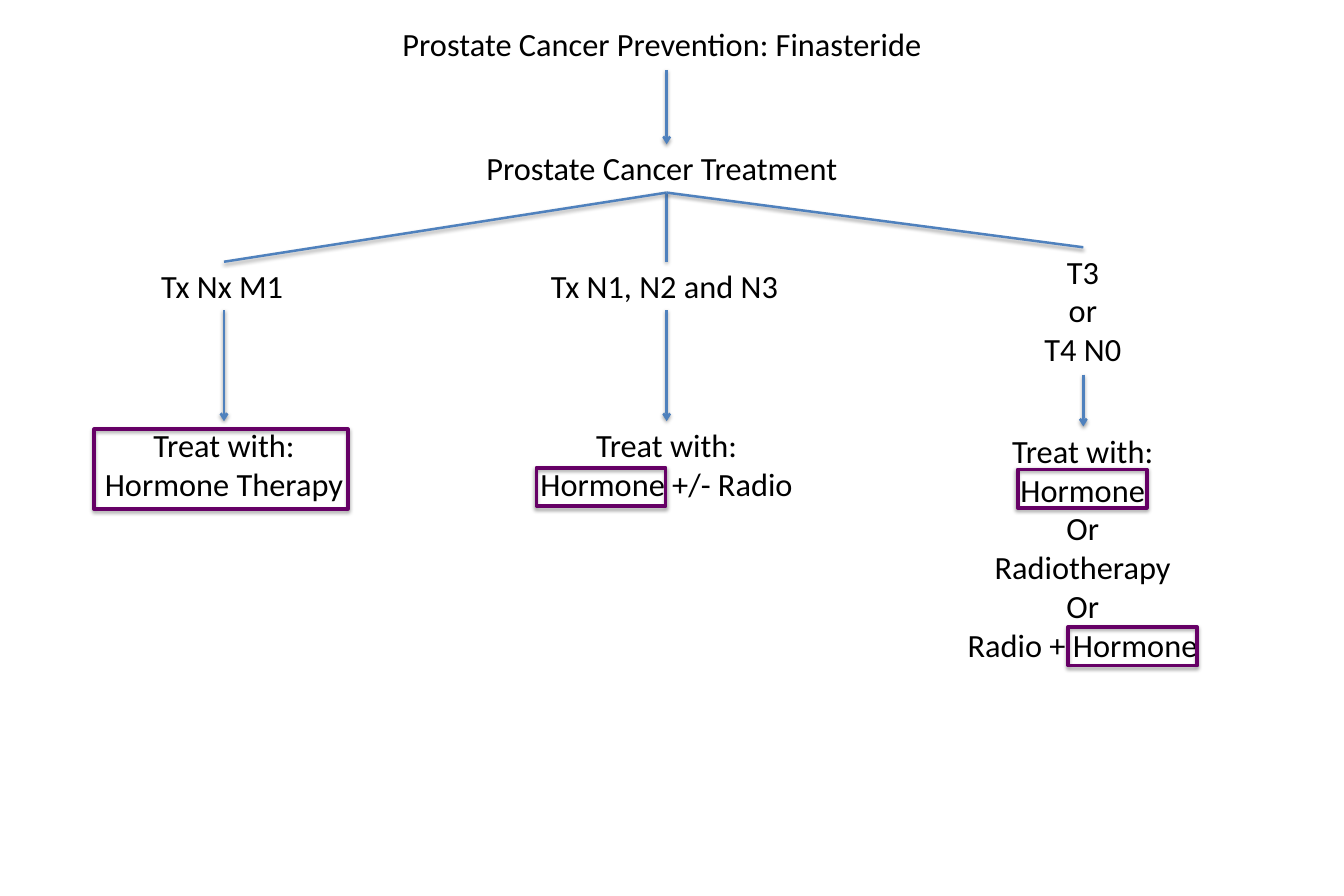
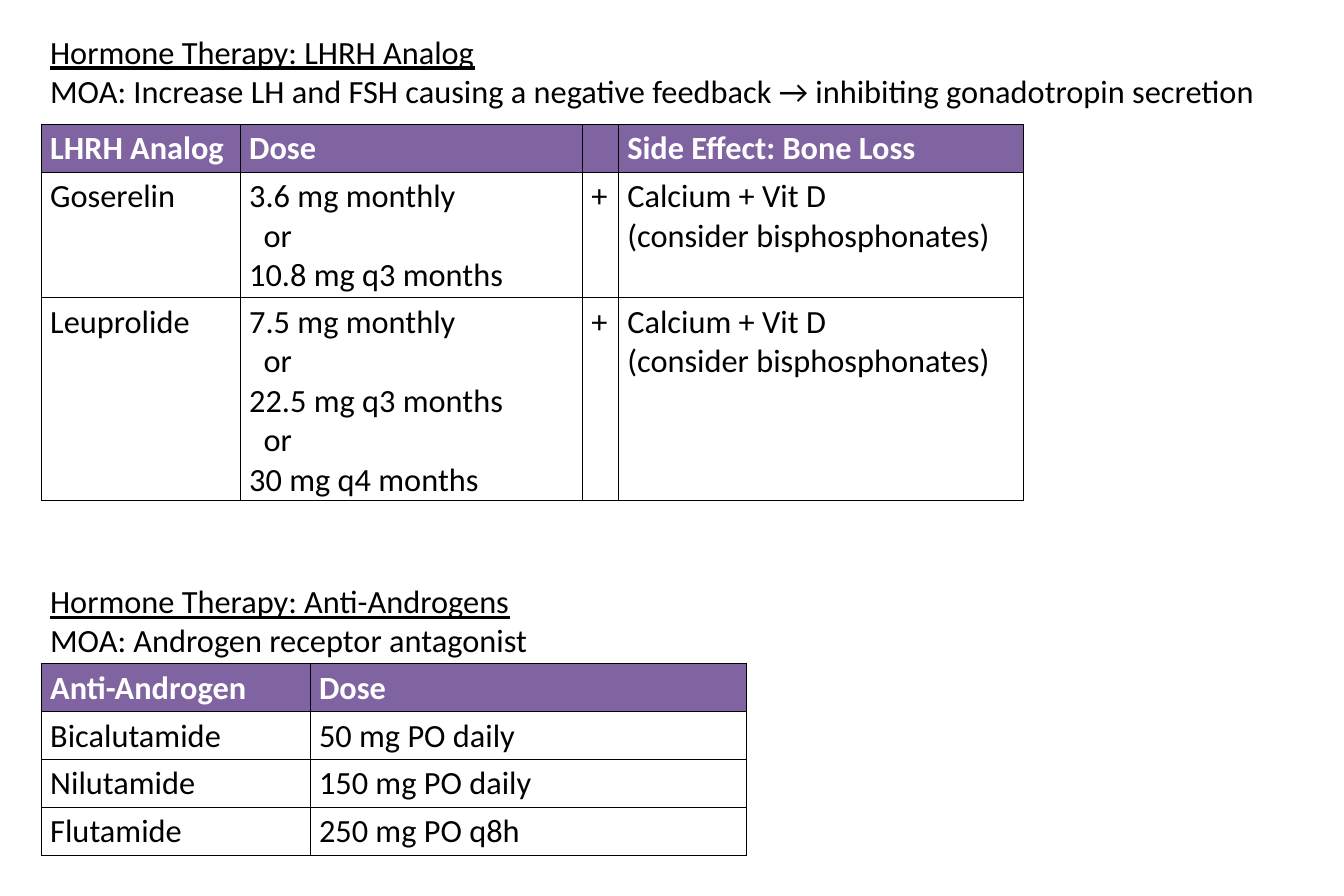
from lxml.etree import SubElement
from pptx import Presentation
from pptx.dml.color import RGBColor
from pptx.enum.shapes import MSO_CONNECTOR, MSO_SHAPE
from pptx.enum.text import MSO_ANCHOR, MSO_AUTO_SIZE, PP_ALIGN
from pptx.oxml import parse_xml
from pptx.oxml.ns import nsdecls, qn
from pptx.util import Cm, Pt

# Shared look
FONT, SIZE = "Calibri", Pt(26)
BLACK = RGBColor(0x00, 0x00, 0x00)
WHITE = RGBColor(0xFF, 0xFF, 0xFF)
BLUE = RGBColor(0x4F, 0x81, 0xBD)
PLUM = RGBColor(0x66, 0x00, 0x66)
PURPLE = RGBColor(0x80, 0x64, 0xA2)
LINE_HEIGHT, CELL_PADDING = 1.1, 0.25
MARGIN = 1.17


def write(frame, text, align=PP_ALIGN.LEFT, colour=BLACK, bold=False,
          underline_first=False, indented=None):
    """Fill a text frame, one paragraph per line of text."""
    for number, line in enumerate(text.split("\n")):
        paragraph = frame.paragraphs[0] if number == 0 else frame.add_paragraph()
        paragraph.alignment = align
        if line == indented:
            properties = paragraph._p.get_or_add_pPr()
            properties.set("marL", str(Cm(0.41)))
            properties.set("indent", "0")
        paragraph.font.size = SIZE
        if line:
            run = paragraph.add_run()
            run.text = line
            run.font.name = FONT
            run.font.size = SIZE
            run.font.bold = bold
            run.font.color.rgb = colour
            run.font.underline = underline_first and number == 0
    frame.word_wrap = False


def add_shadow(shape, distance, opacity):
    """Give a shape a soft shadow straight below it."""
    shape._element.spPr.append(parse_xml(
        f'<a:effectLst {nsdecls("a")}>'
        f'<a:outerShdw blurRad="{Pt(3.1)}" dist="{Pt(distance)}" dir="5400000" rotWithShape="0">'
        f'<a:srgbClr val="000000"><a:alpha val="{opacity * 1000}"/></a:srgbClr>'
        '</a:outerShdw></a:effectLst>'))


presentation = Presentation()
presentation.slide_width, presentation.slide_height = Cm(38.1), Cm(25.4)
title_only = presentation.slide_layouts[5]

# Titles: text, left, top, width, height, side inset, top inset, underlined
titles = [
    ("Prostate Cancer Prevention: Finasteride",
     11.05, 0.51, 15.7, 1.47, 0.36, 0.18, False),
    ("Hormone Therapy: LHRH Analog\nMOA: Increase LH and FSH causing a negative "
     "feedback → inhibiting gonadotropin secretion",
     MARGIN, 0.79, 35.92, 2.49, 0.25, 0.13, True),
]
slides = []
for text, left, top, width, height, side, above, underlined in titles:
    slide = presentation.slides.add_slide(title_only)
    title = slide.shapes.title
    title.left, title.top = Cm(left), Cm(top)
    title.width, title.height = Cm(width), Cm(height)
    frame = title.text_frame
    frame.auto_size = MSO_AUTO_SIZE.NONE
    frame.vertical_anchor = MSO_ANCHOR.TOP
    frame.margin_left = frame.margin_right = Cm(side)
    frame.margin_top = frame.margin_bottom = Cm(above)
    write(frame, text, underline_first=underlined)
    slides.append(slide)
pathway, therapy = slides

# Text of the treatment pathway, and the second heading of the therapy slide
CENTRE, LEFT = PP_ALIGN.CENTER, PP_ALIGN.LEFT
passages = [
    (pathway, "Prostate Cancer Treatment", 13.54, 4.09, 10.69, 1.37, LEFT),
    (pathway, "Tx Nx M1", 4.32, 7.42, 4.04, 1.37, LEFT),
    (pathway, "Tx N1, N2 and N3", 15.37, 7.42, 7.06, 1.37, LEFT),
    (pathway, "T3\nor\nT4 N0", 29.34, 7.01, 2.72, 3.58, CENTRE),
    (pathway, "Treat with:\nHormone Therapy", 2.67, 11.94, 7.37, 2.49, CENTRE),
    (pathway, "Treat with:\nHormone +/- Radio", 15.04, 11.94, 7.72, 2.49, CENTRE),
    (pathway, "Treat with:\nHormone\nOr\nRadiotherapy\nOr\nRadio + Hormone",
     27.15, 12.09, 7.09, 6.93, CENTRE),
    (therapy, "Hormone Therapy: Anti-Androgens\nMOA: Androgen receptor antagonist",
     MARGIN, 16.36, 14.25, 2.49, LEFT),
]
for slide, text, left, top, width, height, align in passages:
    passage = slide.shapes.add_textbox(Cm(left), Cm(top), Cm(width), Cm(height))
    write(passage.text_frame, text, align=align, underline_first=slide is therapy)

# Branches and arrows: start x, start y, end x, end y, arrowhead
METASTATIC, NODAL, LOCAL = 6.35, 18.9, 30.71
links = [
    (NODAL, 5.46, METASTATIC, 7.42, False),
    (NODAL, 5.46, NODAL, 7.42, False),
    (NODAL, 5.46, LOCAL, 7.01, False),
    (METASTATIC, 8.79, METASTATIC, 11.94, True),
    (NODAL, 8.79, NODAL, 11.94, True),
    (LOCAL, 10.62, LOCAL, 12.09, True),
    (NODAL, 1.98, NODAL, 4.09, True),
]
for start_x, start_y, end_x, end_y, arrowhead in links:
    link = pathway.shapes.add_connector(
        MSO_CONNECTOR.STRAIGHT, Cm(start_x), Cm(start_y), Cm(end_x), Cm(end_y))
    link.line.color.rgb = BLUE
    link.line.width = Pt(2)
    if arrowhead:
        SubElement(link.line._get_or_add_ln(), qn("a:tailEnd")).set("type", "arrow")
    add_shadow(link, distance=1.6, opacity=38)

# Frames around each mention of hormone treatment
for left, top, width, height in [(2.67, 12.17, 7.19, 2.26), (15.21, 13.26, 3.66, 1.09),
                                 (28.85, 13.31, 3.66, 1.09), (30.28, 17.78, 3.66, 1.09)]:
    highlight = pathway.shapes.add_shape(
        MSO_SHAPE.RECTANGLE, Cm(left), Cm(top), Cm(width), Cm(height))
    highlight.fill.background()
    highlight.line.color.rgb = PLUM
    highlight.line.width = Pt(3)
    add_shadow(highlight, distance=1.8, opacity=35)

# Dose tables: top, column widths, rows
BONE_CARE = "Calcium + Vit D\n(consider bisphosphonates)"
dose_tables = [
    (3.53, [5.64, 9.7, 1.02, 11.48], [
        ["LHRH Analog", "Dose", "", "Side Effect: Bone Loss"],
        ["Goserelin", "3.6 mg monthly\nor\n10.8 mg q3 months", "+", BONE_CARE],
        ["Leuprolide", "7.5 mg monthly\nor\n22.5 mg q3 months\nor\n30 mg q4 months",
         "+", BONE_CARE],
    ]),
    (18.82, [7.62, 12.37], [
        ["Anti-Androgen", "Dose"],
        ["Bicalutamide", "50 mg PO daily"],
        ["Nilutamide", "150 mg PO daily"],
        ["Flutamide", "250 mg PO q8h"],
    ]),
]
for top, widths, rows in dose_tables:
    heights = [LINE_HEIGHT * max(text.count("\n") + 1 for text in row) + CELL_PADDING
               for row in rows]
    doses = therapy.shapes.add_table(
        len(rows), len(widths), Cm(MARGIN), Cm(top), Cm(sum(widths)), Cm(sum(heights))).table
    doses.horz_banding = False
    for column, width in zip(doses.columns, widths):
        column.width = Cm(width)
    for row_number, (row, height) in enumerate(zip(rows, heights)):
        doses.rows[row_number].height = Cm(height)
        header = row_number == 0
        for column_number, text in enumerate(row):
            cell = doses.cell(row_number, column_number)
            write(cell.text_frame, text, colour=WHITE if header else BLACK,
                  bold=header, indented="or")
            # Borders come before the fill in the cell properties
            for side in ("lnL", "lnR", "lnT", "lnB"):
                cell._tc.get_or_add_tcPr().append(parse_xml(
                    f'<a:{side} {nsdecls("a")} w="{Pt(1)}"><a:solidFill>'
                    f'<a:srgbClr val="{BLACK}"/></a:solidFill></a:{side}>'))
            cell.fill.solid()
            cell.fill.fore_color.rgb = PURPLE if header else WHITE

presentation.save("out.pptx")
